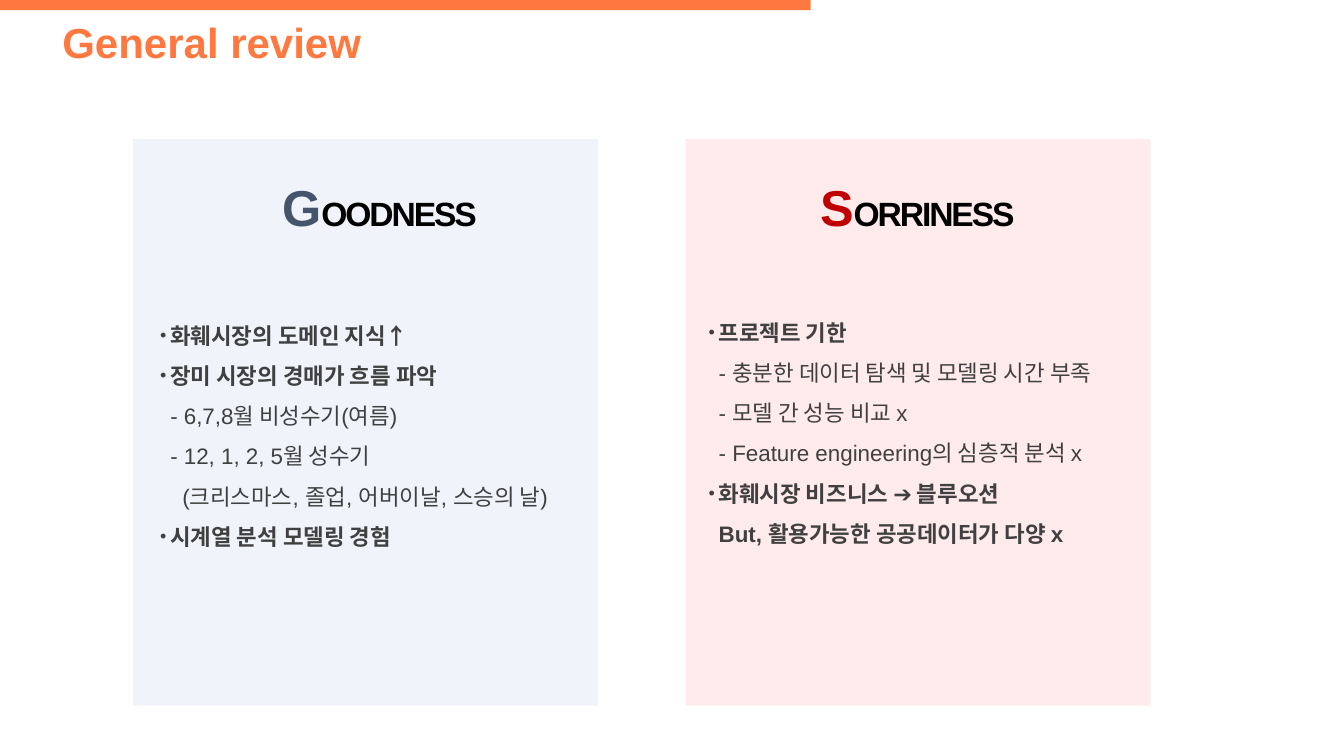
import pptx
import pptx.dml.color
import pptx.enum.shapes
import pptx.enum.text
import pptx.util
from lxml import etree
from pptx.oxml.ns import qn

ALIGN = pptx.enum.text.PP_ALIGN
ANCHOR = pptx.enum.text.MSO_ANCHOR
SHAPE = pptx.enum.shapes.MSO_SHAPE
Inches = pptx.util.Inches

FONT = "Arial"
COLORS = {"accent": "FF783F", "body": "404040", "black": "000000",
          "good": "44546A", "good_bg": "F0F3FA",
          "sorry": "C00000", "sorry_bg": "FFEBEB"}
TITLE = "General review"

# Each paragraph: (indent in steps, has bullet, [(line, bold), ...])
PANELS = [
    {"heading": "GOODNESS", "color": "good", "align": ALIGN.LEFT,
     "heading_dx": 1.38, "body_dx": 0.17, "body_top": 3.01,
     "body": [
         (1, True, [("화훼시장의 도메인 지식↑", True)]),
         (1, True, [("장미 시장의 경매가 흐름 파악", True),
                    ("- 6,7,8월 비성수기(여름)", False),
                    ("- 12, 1, 2, 5월 성수기", False)]),
         (2.2, False, [("(크리스마스, 졸업, 어버이날, 스승의 날)", False)]),
         (1, True, [("시계열 분석 모델링 경험", True)])]},
    {"heading": "SORRINESS", "color": "sorry", "align": ALIGN.RIGHT,
     "heading_dx": 1.12, "body_dx": 0.13, "body_top": 2.98,
     "body": [
         (1, True, [("프로젝트 기한", True),
                    ("- 충분한 데이터 탐색 및 모델링 시간 부족", False),
                    ("- 모델 간 성능 비교 x", False),
                    ("- Feature engineering의 심층적 분석 x", False)]),
         (1, True, [("화훼시장 비즈니스 ➔ 블루오션", True),
                    ("But, 활용가능한 공공데이터가 다양 x", True)])]},
]

PANEL_LEFT, PANEL_TOP, PANEL_W, PANEL_H = 1.32, 1.38, 4.61, 5.62
PANEL_PITCH = 5.48
INDENT = 0.1


def rgb(name):
    return pptx.dml.color.RGBColor.from_string(COLORS[name])


def add_block(slide, kind, box, color):
    sp = slide.shapes.add_shape(kind, *map(Inches, box))
    sp.shadow.inherit = False
    sp.fill.solid()
    sp.fill.fore_color.rgb = rgb(color)
    sp.line.fill.background()
    return sp


def add_text_frame(slide, box, anchor=ANCHOR.TOP):
    tf = slide.shapes.add_textbox(*map(Inches, box)).text_frame
    tf.word_wrap = True
    tf.vertical_anchor = anchor
    return tf


def add_run(p, text, size, color, bold=True, spacing=None):
    r = p.add_run()
    r.text = text
    r.font.name = FONT
    r.font.size = pptx.util.Pt(size)
    r.font.bold = bold
    r.font.color.rgb = rgb(color)
    if spacing is not None:
        r.font._element.set("spc", str(int(spacing * 100)))


def set_indent(p, steps, bullet):
    pPr = p._p.get_or_add_pPr()
    pPr.set("marL", str(Inches(steps * INDENT)))
    pPr.set("indent", str(Inches(-INDENT) if bullet else 0))
    if bullet:
        etree.SubElement(pPr, qn("a:buSzPct")).set("val", "80000")
        etree.SubElement(pPr, qn("a:buFont")).set("typeface", FONT)
        etree.SubElement(pPr, qn("a:buChar")).set("char", "•")


def add_panel(slide, left, panel):
    color = panel["color"]
    sp = add_block(slide, SHAPE.ROUNDED_RECTANGLE,
                   (left, PANEL_TOP, PANEL_W, PANEL_H), color + "_bg")
    sp.adjustments[0] = 0

    tf = add_text_frame(slide, (left + panel["heading_dx"], 1.76, 2.24, 0.46),
                        ANCHOR.MIDDLE)
    p = tf.paragraphs[0]
    p.alignment = panel["align"]
    p.line_spacing = 1.2
    add_run(p, panel["heading"][0], 36, color, spacing=-1.5)
    add_run(p, panel["heading"][1:], 24, "black", spacing=-1.5)

    tf = add_text_frame(slide, (left + panel["body_dx"], panel["body_top"], 4.71, 2.04))
    tf.margin_right = 0
    for i, (steps, bullet, lines) in enumerate(panel["body"]):
        p = tf.add_paragraph() if i else tf.paragraphs[0]
        p.line_spacing = 1.5
        set_indent(p, steps, bullet)
        for j, (line, bold) in enumerate(lines):
            if j:
                p.add_line_break()
            add_run(p, line, 16, "body", bold)


def main():
    prs = pptx.Presentation()
    prs.slide_width, prs.slide_height = Inches(13.33), Inches(7.5)
    slide = prs.slides.add_slide(prs.slide_layouts[6])

    add_block(slide, SHAPE.RECTANGLE, (0, 0, 8.04, 0.1), "accent")
    tf = add_text_frame(slide, (0.52, 0.11, 7.69, 0.61))
    add_run(tf.paragraphs[0], TITLE, 30, "accent")

    for i, panel in enumerate(PANELS):
        add_panel(slide, PANEL_LEFT + i * PANEL_PITCH, panel)

    prs.save("out.pptx")


if __name__ == "__main__":
    main()
